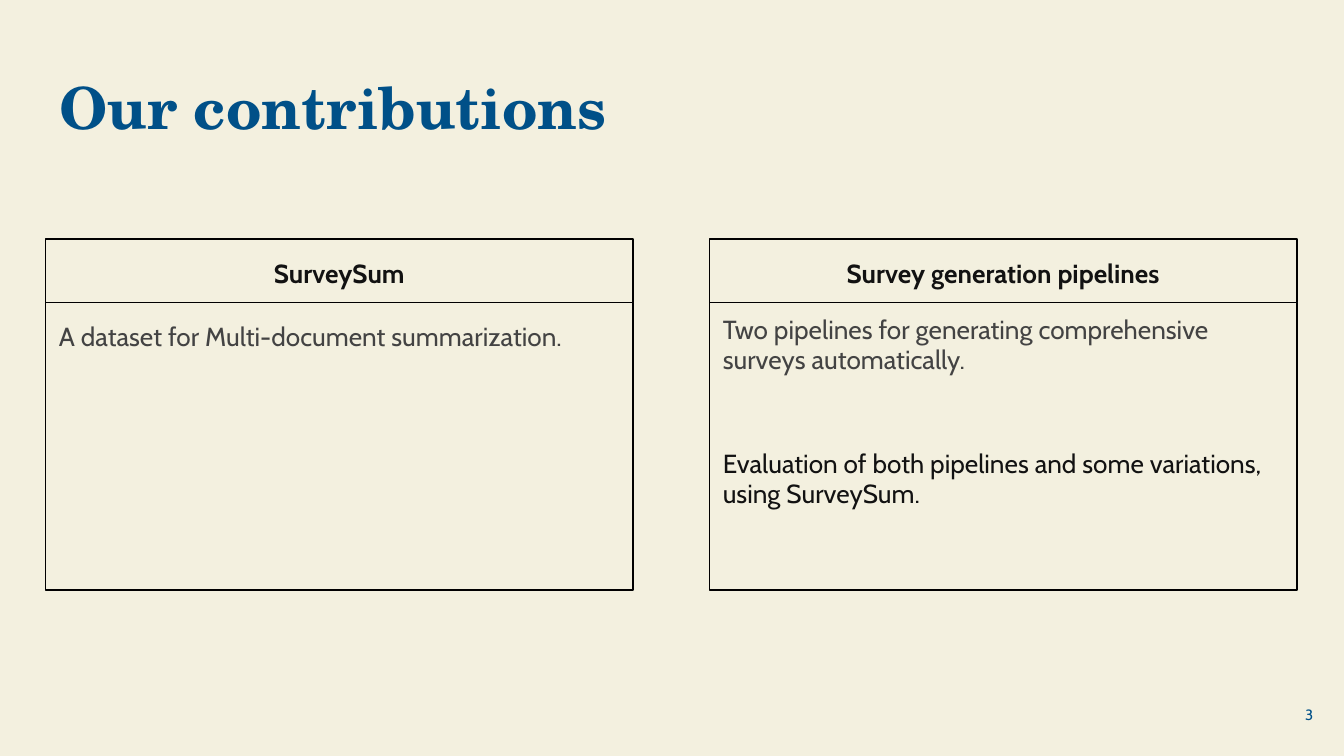
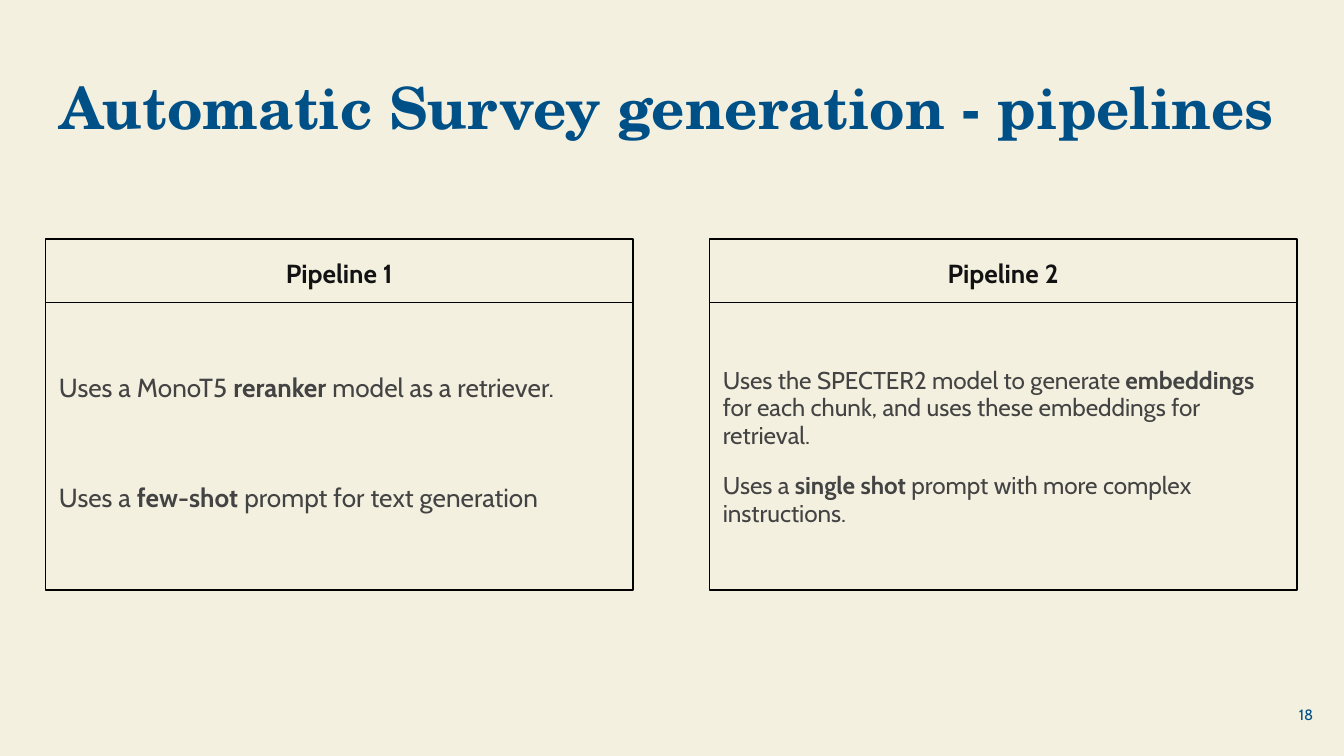
from pptx import Presentation
from pptx.dml.color import RGBColor
from pptx.enum.shapes import MSO_SHAPE
from pptx.enum.text import MSO_ANCHOR, MSO_AUTO_SIZE, PP_ALIGN
from pptx.util import Inches, Pt

RECT = MSO_SHAPE.RECTANGLE
TOP, MIDDLE = MSO_ANCHOR.TOP, MSO_ANCHOR.MIDDLE
LEFT, CENTER, RIGHT = PP_ALIGN.LEFT, PP_ALIGN.CENTER, PP_ALIGN.RIGHT
NO_FIT = MSO_AUTO_SIZE.NONE

HUES = {"paper": "F3F0DF", "blue": "005088", "ink": "121212",
        "gray": "434343", "line": "000000"}
SERIF, SANS = "TeX Gyre Schola", "Cabin"
LEFTS, CARD_TOP, CARD_W, CARD_H = (0.34, 5.28), 1.78, 4.37, 2.61
HEAD_H, PAD = 0.47, 0.1

SLIDES = [
    {"title": "Our contributions", "page": "3", "cards": [
        {"head": "SurveySum", "lead": 1.15,
         "items": [("A dataset for Multi-document summarization.", "gray")]},
        {"head": "Survey generation pipelines", "lead": 0.95, "gap": 40,
         "items": [("Two pipelines for generating comprehensive surveys automatically.", "gray"),
                   ("Evaluation of both pipelines and some variations, using SurveySum.", "ink")]},
    ]},
    {"title": "Automatic Survey generation - pipelines", "page": "18", "cards": [
        {"head": "Pipeline 1", "lead": 1.05, "gap": 41.7, "drop": 0.4,
         "items": [("Uses a MonoT5 *reranker *model as a retriever.", "gray"),
                   ("Uses a *few-shot* prompt for text generation", "gray")]},
        {"head": "Pipeline 2", "lead": 0.95, "gap": 12, "drop": 0.38, "size": 13,
         "items": [("Uses the SPECTER2 model to generate *embeddings *for each chunk, "
                    "and uses these embeddings for retrieval.", "gray"),
                   ("Uses a *single shot *prompt with more complex instructions.", "gray")]},
    ]},
]


def color(name):
    """Return the named colour."""
    return RGBColor.from_string(HUES[name])


def set_frame(shape, anchor=TOP, drop=0):
    """Set wrapping, insets and anchor, and return the text frame."""
    frame = shape.text_frame
    frame.word_wrap = True
    frame.auto_size = NO_FIT
    frame.vertical_anchor = anchor
    frame.margin_left = frame.margin_right = frame.margin_bottom = Inches(PAD)
    frame.margin_top = Inches(PAD + drop)
    return frame


def write(para, text, size, hue, face=SANS, bold=None, align=LEFT, lead=1.0):
    """Fill a paragraph, with the words between asterisks in bold."""
    for i, part in enumerate(text.split("*")):
        if part:
            run = para.add_run()
            run.text = part
            if i % 2:
                run.font.bold = True
    para.alignment, para.line_spacing = align, lead
    font = para.font
    font.name, font.size, font.bold = face, Pt(size), bold
    font.color.rgb = color(hue)


def add_box(slide, left, top, width, height):
    """Add an outlined box that lets the background through."""
    box = slide.shapes.add_shape(RECT, *map(Inches, (left, top, width, height)))
    box.shadow.inherit = False
    box.fill.background()
    box.line.color.rgb = color("line")
    box.line.width = Pt(0.75)
    return box


def add_card(slide, card, left, top, width, height):
    """Add a body box below a heading box."""
    body = add_box(slide, left, top + HEAD_H, width, height - HEAD_H)
    frame = set_frame(body, drop=card.get("drop", 0))
    for i, (text, hue) in enumerate(card["items"]):
        para = frame.add_paragraph() if i else frame.paragraphs[0]
        write(para, text, card.get("size", 14), hue, lead=card["lead"])
        if i:
            para.space_before = Pt(card["gap"])
    head = set_frame(add_box(slide, left, top, width, HEAD_H))
    write(head.paragraphs[0], card["head"], 14, "ink", bold=True, align=CENTER, lead=1.15)


def add_title(slide, text, left, top, width, height):
    """Place and format the title placeholder."""
    title = slide.shapes.title
    title.left, title.top, title.width, title.height = map(Inches, (left, top, width, height))
    para = set_frame(title).paragraphs[0]
    write(para, text, 31.1, "blue", face=SERIF, bold=True, lead=0.9)


def add_page(slide, text, left, top, width, height):
    """Add the page number."""
    box = slide.shapes.add_textbox(*map(Inches, (left, top, width, height)))
    write(set_frame(box, MIDDLE).paragraphs[0], text, 8, "blue", align=RIGHT)


def add_slide(prs, data):
    """Add a titled slide with two cards."""
    slide = prs.slides.add_slide(prs.slide_layouts[5])
    add_title(slide, data["title"], 0.34, 0.49, 9.32, 0.63)
    for left, card in zip(LEFTS, data["cards"]):
        add_card(slide, card, left, CARD_TOP, CARD_W, CARD_H)
    add_page(slide, data["page"], 9.27, 5.1, 0.6, 0.43)


def main():
    """Build and save the slides."""
    prs = Presentation()
    prs.slide_width = Inches(10)
    prs.slide_height = prs.slide_width * 9 // 16
    fill = prs.slide_master.background.fill
    fill.solid()
    fill.fore_color.rgb = color("paper")
    for data in SLIDES:
        add_slide(prs, data)
    prs.save("out.pptx")


if __name__ == "__main__":
    main()
